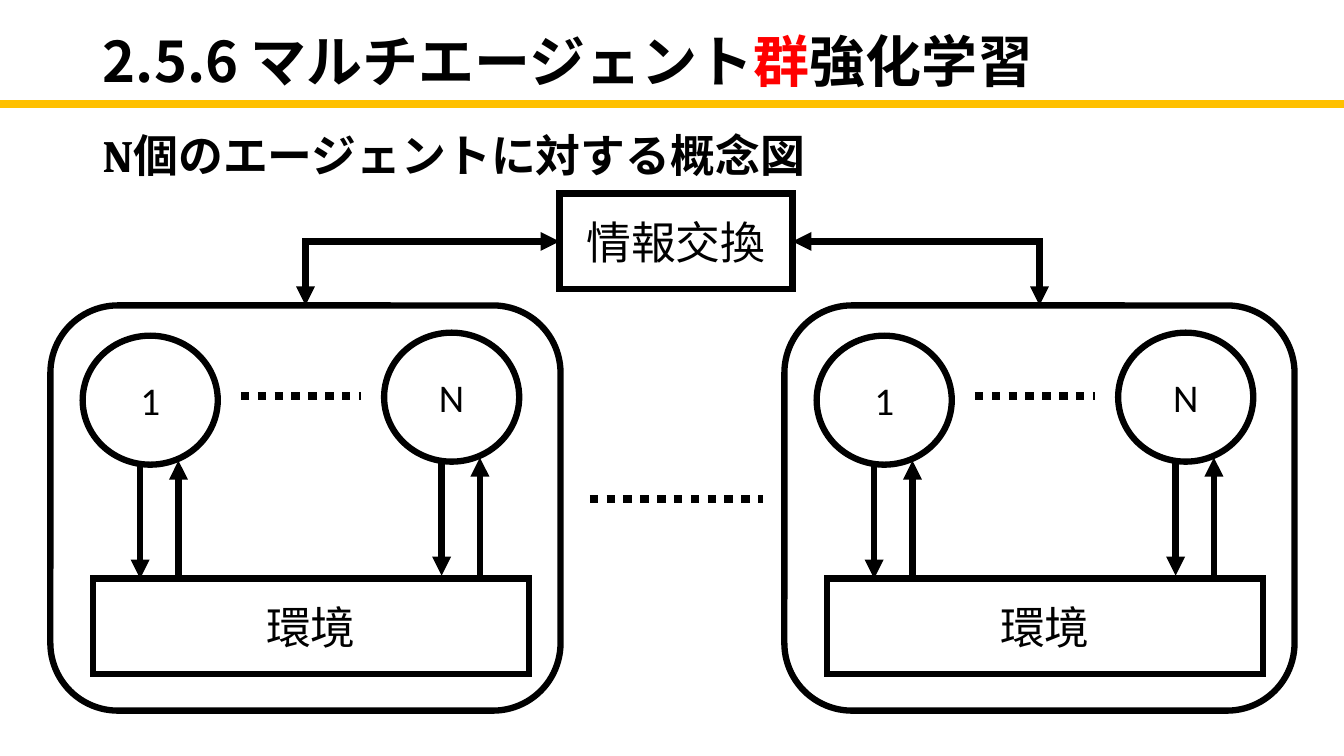
from dataclasses import dataclass

from lxml.etree import SubElement
from pptx import Presentation
from pptx.dml.color import RGBColor
from pptx.enum.dml import MSO_LINE
from pptx.enum.shapes import MSO_CONNECTOR, MSO_SHAPE
from pptx.enum.text import MSO_ANCHOR, MSO_AUTO_SIZE, PP_ALIGN
from pptx.oxml.ns import qn
from pptx.util import Inches, Pt

BLACK = "000000"
WHITE = "FFFFFF"
RED = "FF0000"
GOLD = "FFC000"
CJK_FONT = "Noto Sans CJK JP"
GROUP_LEFTS = (0.5, 7.78)
GROUP_TOP = 3.03


@dataclass(frozen=True)
class Node:
    preset: MSO_SHAPE
    left: float
    top: float
    width: float
    height: float
    label: str = ""
    size: int = 32
    fill: str = ""


@dataclass(frozen=True)
class Stroke:
    start: tuple[float, float]
    end: tuple[float, float]
    color: str = BLACK
    width: float = 4.5
    dotted: bool = False
    heads: tuple[str, ...] = ()


@dataclass(frozen=True)
class Agent:
    label: str
    dx: float
    dy: float


AGENTS = (Agent("1", 0.32, 0.3), Agent("N", 3.31, 0.27))


def color(hex_code: str) -> RGBColor:
    return RGBColor.from_string(hex_code)


def apply(target, formats: dict) -> None:
    for attribute, value in formats.items():
        setattr(target, attribute, value)


def add_run(paragraph, text: str, face: str, size: int, hex_code: str = BLACK, bold: bool = False) -> None:
    run = paragraph.add_run()
    run.text = text
    apply(run.font, {"name": face, "size": Pt(size), "bold": bold})
    run.font.color.rgb = color(hex_code)
    SubElement(run.font._element, qn("a:ea"), typeface=CJK_FONT)


def style_line(line, hex_code: str, width: float, dotted: bool = False, heads: tuple[str, ...] = ()) -> None:
    line.color.rgb = color(hex_code)
    line.width = Pt(width)
    if dotted:
        line.dash_style = MSO_LINE.ROUND_DOT
    outline = line._get_or_add_ln()
    SubElement(outline, qn("a:miter"), lim="800000")
    for head in heads:
        SubElement(outline, qn(f"a:{head}"), type="triangle")


def draw_node(slide, node: Node):
    shape = slide.shapes.add_shape(
        node.preset, Inches(node.left), Inches(node.top), Inches(node.width), Inches(node.height)
    )
    shape.shadow.inherit = False
    if node.fill:
        shape.fill.solid()
        shape.fill.fore_color.rgb = color(node.fill)
    else:
        shape.fill.background()
    style_line(shape.line, BLACK, 4.5)
    if node.label:
        shape.text_frame.vertical_anchor = MSO_ANCHOR.MIDDLE
        paragraph = shape.text_frame.paragraphs[0]
        paragraph.alignment = PP_ALIGN.CENTER
        add_run(paragraph, node.label, "Calibri", node.size)
    return shape


def draw_stroke(slide, stroke: Stroke, kind: MSO_CONNECTOR = MSO_CONNECTOR.STRAIGHT):
    ends = [Inches(value) for value in (*stroke.start, *stroke.end)]
    connector = slide.shapes.add_connector(kind, *ends)
    style_line(connector.line, stroke.color, stroke.width, stroke.dotted, stroke.heads)
    SubElement(connector._element.spPr, qn("a:effectLst"))
    return connector


def draw_agent(slide, agent: Agent, group_left: float) -> None:
    left, top = group_left + agent.dx, GROUP_TOP + agent.dy
    draw_node(slide, Node(MSO_SHAPE.OVAL, left, top, 1.34, 1.28, agent.label, 28))
    action_x, reward_x, floor = left + 0.57, left + 0.95, top + 2.41
    draw_stroke(slide, Stroke((action_x, top + 1.28), (action_x, floor), heads=("tailEnd",)))
    draw_stroke(slide, Stroke((reward_x, floor), (reward_x, top + 1.24), heads=("tailEnd",)))


def draw_group(slide, left: float):
    frame = draw_node(slide, Node(MSO_SHAPE.ROUNDED_RECTANGLE, left, GROUP_TOP, 5.06, 4.02, fill=WHITE))
    draw_node(slide, Node(MSO_SHAPE.RECTANGLE, left + 0.42, 5.74, 4.33, 0.95, "環境"))
    for agent in AGENTS:
        draw_agent(slide, agent, left)
    draw_stroke(slide, Stroke((left + 1.89, 3.93), (left + 3.08, 3.93), width=6, dotted=True))
    return frame


def draw_exchange_link(slide, exchange, side: int, start: tuple[float, float], frame, end: tuple[float, float]) -> None:
    link = draw_stroke(slide, Stroke(start, end, heads=("headEnd", "tailEnd")), MSO_CONNECTOR.ELBOW)
    link._element.spPr.find(qn("a:prstGeom")).set("prst", "bentConnector2")
    link.begin_connect(exchange, side)
    link.end_connect(frame, 0)


def write_headings(slide) -> None:
    title = slide.shapes.title
    apply(title, {"left": Inches(0.92), "top": Inches(-0.09), "width": Inches(11.5), "height": Inches(1.45)})
    subtitle = slide.shapes.add_textbox(Inches(0.92), Inches(1.28), Inches(7.64), Inches(0.83))
    for box, anchor in ((title, MSO_ANCHOR.MIDDLE), (subtitle, MSO_ANCHOR.TOP)):
        apply(box.text_frame, {"word_wrap": True, "auto_size": MSO_AUTO_SIZE.NONE, "vertical_anchor": anchor})
        apply(box.text_frame.paragraphs[0], {"alignment": PP_ALIGN.LEFT, "line_spacing": 0.9})
    for text, hex_code in (("2.5.6 マルチエージェント", BLACK), ("群", RED), ("強化学習", BLACK)):
        add_run(title.text_frame.paragraphs[0], text, CJK_FONT, 40, hex_code, True)
    add_run(subtitle.text_frame.paragraphs[0], "N個のエージェントに対する概念図", "Cambria", 32, bold=True)


def main() -> None:
    presentation = Presentation()
    apply(presentation, {"slide_width": Inches(13.33), "slide_height": Inches(7.5)})
    slide = presentation.slides.add_slide(presentation.slide_layouts[5])
    write_headings(slide)
    draw_stroke(slide, Stroke((-0.13, 1.03), (13.33, 1.03), GOLD, 6))
    first, last = [draw_group(slide, left) for left in GROUP_LEFTS]
    draw_stroke(slide, Stroke((5.85, 4.95), (7.57, 4.95), width=6, dotted=True))
    exchange = draw_node(slide, Node(MSO_SHAPE.RECTANGLE, 5.55, 1.92, 2.31, 0.95, "情報交換"))
    draw_exchange_link(slide, exchange, 1, (5.55, 2.39), first, (3.03, GROUP_TOP))
    draw_exchange_link(slide, exchange, 3, (7.86, 2.39), last, (10.31, GROUP_TOP))
    presentation.save("out.pptx")


if __name__ == "__main__":
    main()
